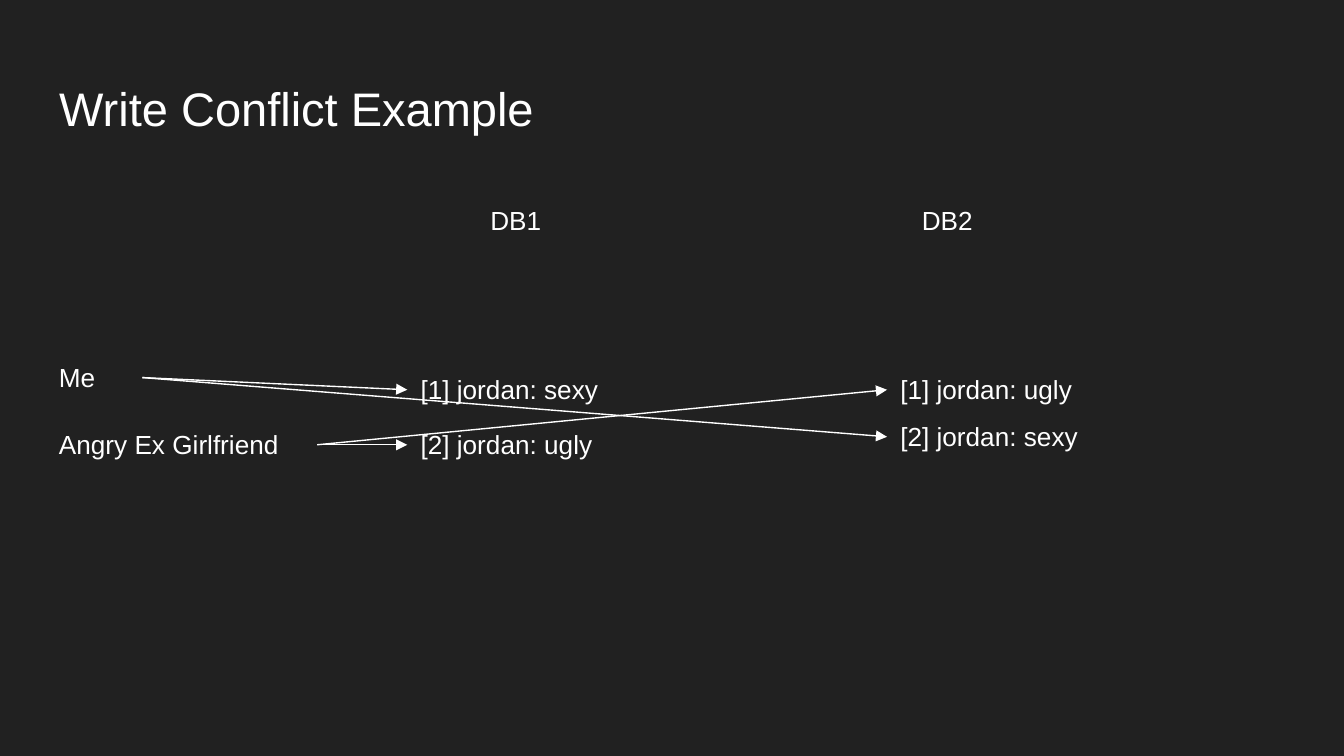
from lxml.etree import SubElement
from pptx import Presentation
from pptx.dml.color import RGBColor as Color
from pptx.enum.shapes import MSO_CONNECTOR as Connector
from pptx.enum.text import MSO_ANCHOR as Anchor, MSO_AUTO_SIZE as AutoSize, PP_ALIGN as Align
from pptx.oxml.ns import qn
from pptx.util import Pt

TITLE = "Write Conflict Example"
LABELS = {
    "db1": ("DB1", 255.6, 102.2, 49),
    "db2": ("DB2", 486.7, 102.2, 49),
    "me": ("Me", 24.5, 186.5, 51.8),
    "ex": ("Angry Ex Girlfriend", 24.5, 222.5, 145.4),
    "db1_first": ("[1] jordan: sexy", 218.2, 193, 138.2),
    "db1_second": ("[2] jordan: ugly", 218.2, 222.5, 138.2),
    "db2_first": ("[1] jordan: ugly", 475.2, 193, 138.2),
    "db2_second": ("[2] jordan: sexy", 475.2, 218.2, 138.2),
}
WRITES = [
    ("me", "db1_first"),
    ("me", "db2_second"),
    ("ex", "db1_second"),
    ("ex", "db2_first"),
]
THEME = {
    "background": Color.from_string("212121"),
    "ink": Color.from_string("FFFFFF"),
    "font": "Arial",
    "title_size": 25.2,
    "label_size": 14,
    "line_width": 0.75,
}
LABEL_HEIGHT = 31.6
INSET = 7.2
RIGHT_SIDE, LEFT_SIDE = 3, 1


def set_text(shape, text, size, auto_size):
    frame = shape.text_frame
    frame.text = text
    margins = {f"margin_{side}": Pt(INSET) for side in ("left", "top", "right", "bottom")}
    frame_format = margins | {
        "word_wrap": True,
        "auto_size": auto_size,
        "vertical_anchor": Anchor.TOP,
    }
    for name, value in frame_format.items():
        setattr(frame, name, value)
    paragraph = frame.paragraphs[0]
    paragraph.alignment = Align.LEFT
    paragraph.line_spacing = 1.0
    paragraph.space_before = Pt(0)
    for name, value in {"name": THEME["font"], "size": Pt(size)}.items():
        setattr(paragraph.font, name, value)
    paragraph.font.color.rgb = THEME["ink"]


def add_label(slide, text, left, top, width):
    box = slide.shapes.add_textbox(Pt(left), Pt(top), Pt(width), Pt(LABEL_HEIGHT))
    set_text(box, text, THEME["label_size"], AutoSize.SHAPE_TO_FIT_TEXT)
    return box


def add_arrow(slide, source, target):
    arrow = slide.shapes.add_connector(Connector.STRAIGHT, 0, 0, 0, 0)
    arrow.begin_connect(source, RIGHT_SIDE)
    arrow.end_connect(target, LEFT_SIDE)
    arrow.line.color.rgb = THEME["ink"]
    arrow.line.width = Pt(THEME["line_width"])
    properties = arrow.element.spPr
    SubElement(properties.find(qn("a:ln")), qn("a:tailEnd"), type="triangle")
    SubElement(properties, qn("a:effectLst"))


def main():
    presentation = Presentation()
    presentation.slide_width, presentation.slide_height = Pt(720), Pt(405)
    slide = presentation.slides.add_slide(presentation.slide_layouts[5])
    slide.background.fill.solid()
    slide.background.fill.fore_color.rgb = THEME["background"]

    title = slide.shapes.title
    place = {"left": 24.5, "top": 35.3, "width": 671, "height": 45.4}
    for name, value in place.items():
        setattr(title, name, Pt(value))
    set_text(title, TITLE, THEME["title_size"], AutoSize.NONE)

    boxes = {key: add_label(slide, *label) for key, label in LABELS.items()}
    for source, target in WRITES:
        add_arrow(slide, boxes[source], boxes[target])

    presentation.save("out.pptx")


if __name__ == "__main__":
    main()
